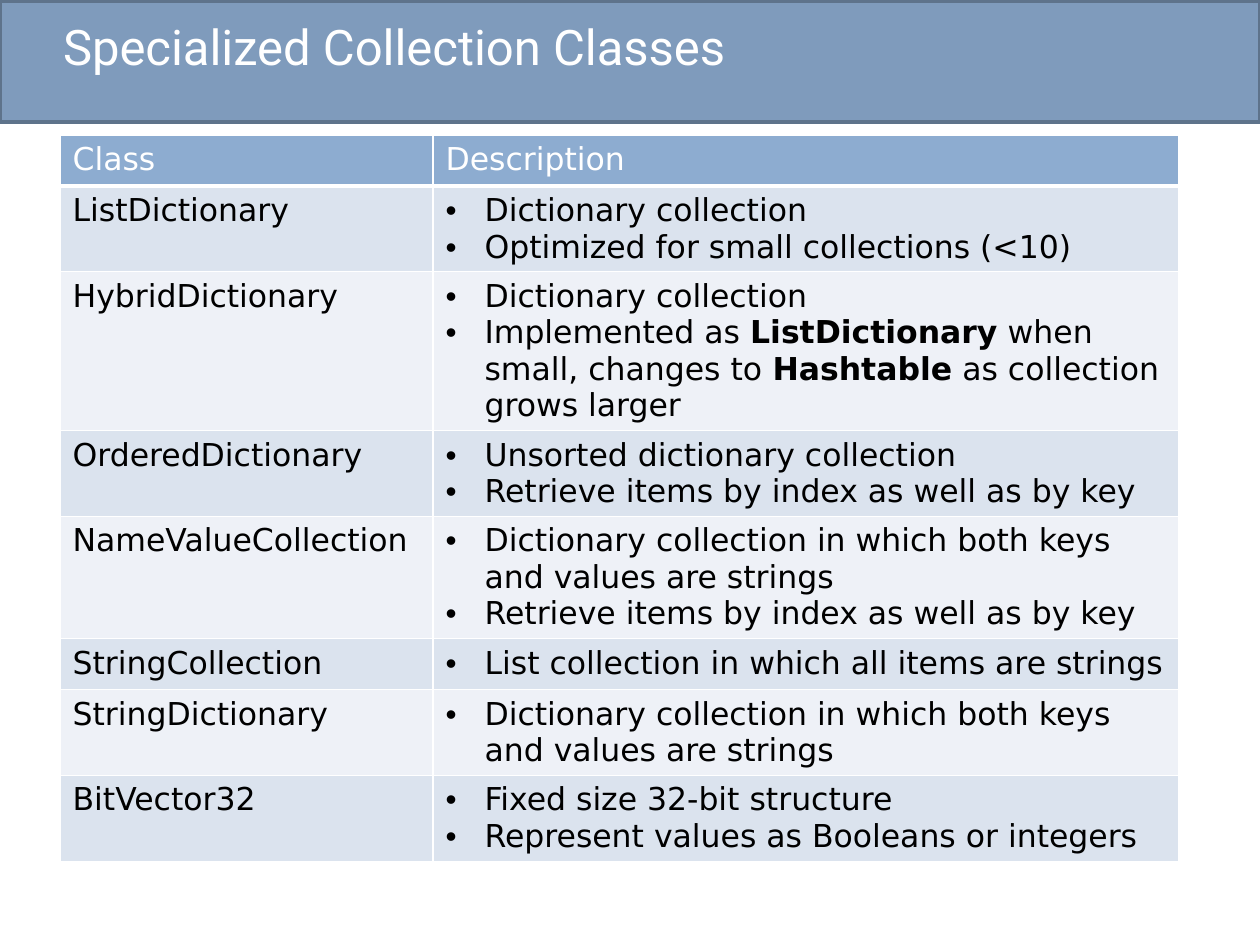
import pptx
import pptx.dml.color
import pptx.enum.shapes
import pptx.enum.text
import pptx.oxml
import pptx.oxml.ns
import pptx.util

PX = 914400 / 126  # EMU in one px
THEME = {
    "band": "7F9BBC", "band_line": "5E738B",
    "header": "8DACD0", "rows": ("DBE3EE", "EEF1F7"),
    "light": "FFFFFF", "dark": "000000",
    "title_font": "Roboto", "body_font": "DejaVu Sans",
    "title_size": 28, "body_size": 18,
}
RGB = pptx.dml.color.RGBColor.from_string
BULLET_INDENT = 39
# Pieces between asterisks are bold
ROWS = [
    ("ListDictionary", ["Dictionary collection", "Optimized for small collections (<10)"]),
    ("HybridDictionary", ["Dictionary collection",
                          "Implemented as *ListDictionary* when small, "
                          "changes to *Hashtable* as collection grows larger"]),
    ("OrderedDictionary", ["Unsorted dictionary collection",
                           "Retrieve items by index as well as by key"]),
    ("NameValueCollection", ["Dictionary collection in which both keys and values are strings",
                             "Retrieve items by index as well as by key"]),
    ("StringCollection", ["List collection in which all items are strings"]),
    ("StringDictionary", ["Dictionary collection in which both keys and values are strings"]),
    ("BitVector32", ["Fixed size 32-bit structure", "Represent values as Booleans or integers"]),
]


def emu(px):
    return pptx.util.Emu(round(px * PX))


def add_text(p, text, *, color, font=THEME["body_font"], size=THEME["body_size"], bullet=False):
    if bullet:
        pPr = p._p.get_or_add_pPr()
        pPr.set("marL", str(emu(BULLET_INDENT)))
        pPr.set("indent", str(-emu(BULLET_INDENT)))
        ns = pptx.oxml.ns.nsdecls("a")
        pPr.append(pptx.oxml.parse_xml(f'<a:buFont {ns} typeface="Arial"/>'))
        pPr.append(pptx.oxml.parse_xml(f'<a:buChar {ns} char="•"/>'))
    for i, piece in enumerate(text.split("*")):
        r = p.add_run()
        r.text = piece
        r.font.name = font
        r.font.size = pptx.util.Pt(size)
        r.font.bold = i % 2 == 1
        r.font.color.rgb = RGB(color)


prs = pptx.Presentation()
prs.slide_width, prs.slide_height = emu(1260), emu(945)
s = prs.slides.add_slide(prs.slide_layouts[5])

# Title band, placed behind the title
band = s.shapes.add_shape(pptx.enum.shapes.MSO_SHAPE.RECTANGLE,
                          emu(0), emu(1), emu(1260), emu(121))
band.shadow.inherit = False
band.fill.solid()
band.fill.fore_color.rgb = RGB(THEME["band"])
band.line.color.rgb = RGB(THEME["band_line"])
band.line.width = pptx.util.Pt(2)
s.shapes._spTree.insert(2, band._element)

# Title
title = s.shapes.title
title.left, title.top, title.width, title.height = emu(63), emu(0), emu(1071), emu(102)
tf = title.text_frame
tf.word_wrap = True
tf.auto_size = pptx.enum.text.MSO_AUTO_SIZE.NONE
tf.vertical_anchor = pptx.enum.text.MSO_ANCHOR.MIDDLE
tf.margin_left = 0
p = tf.paragraphs[0]
p.alignment = pptx.enum.text.PP_ALIGN.LEFT
p.line_spacing = 0.85
add_text(p, "Specialized Collection Classes", color=THEME["light"],
         font=THEME["title_font"], size=THEME["title_size"])

# Class table: rows grow to fit their text
table = s.shapes.add_table(len(ROWS) + 1, 2, emu(60), emu(135),
                           emu(1119), emu(51 * (len(ROWS) + 1))).table
table.horz_banding = False
table.columns[0].width, table.columns[1].width = emu(373), emu(746)

for i, (name, points) in enumerate([("Class", ["Description"])] + ROWS):
    header = i == 0
    fill = THEME["header"] if header else THEME["rows"][(i - 1) % 2]
    color = THEME["light"] if header else THEME["dark"]
    for j, lines in enumerate(([name], points)):
        cell = table.cell(i, j)
        # Borders, heavier under the header
        for side in ("L", "R", "T", "B"):
            width = pptx.util.Pt(3 if header and side == "B" else 1)
            cell._tc.get_or_add_tcPr().append(pptx.oxml.parse_xml(
                f'<a:ln{side} {pptx.oxml.ns.nsdecls("a")} w="{width}"><a:solidFill>'
                f'<a:srgbClr val="{THEME["light"]}"/></a:solidFill></a:ln{side}>'))
        cell.fill.solid()
        cell.fill.fore_color.rgb = RGB(fill)
        tf = cell.text_frame
        for k, line in enumerate(lines):
            p = tf.paragraphs[0] if k == 0 else tf.add_paragraph()
            add_text(p, line, color=color, bullet=j == 1 and not header)

prs.save("out.pptx")
